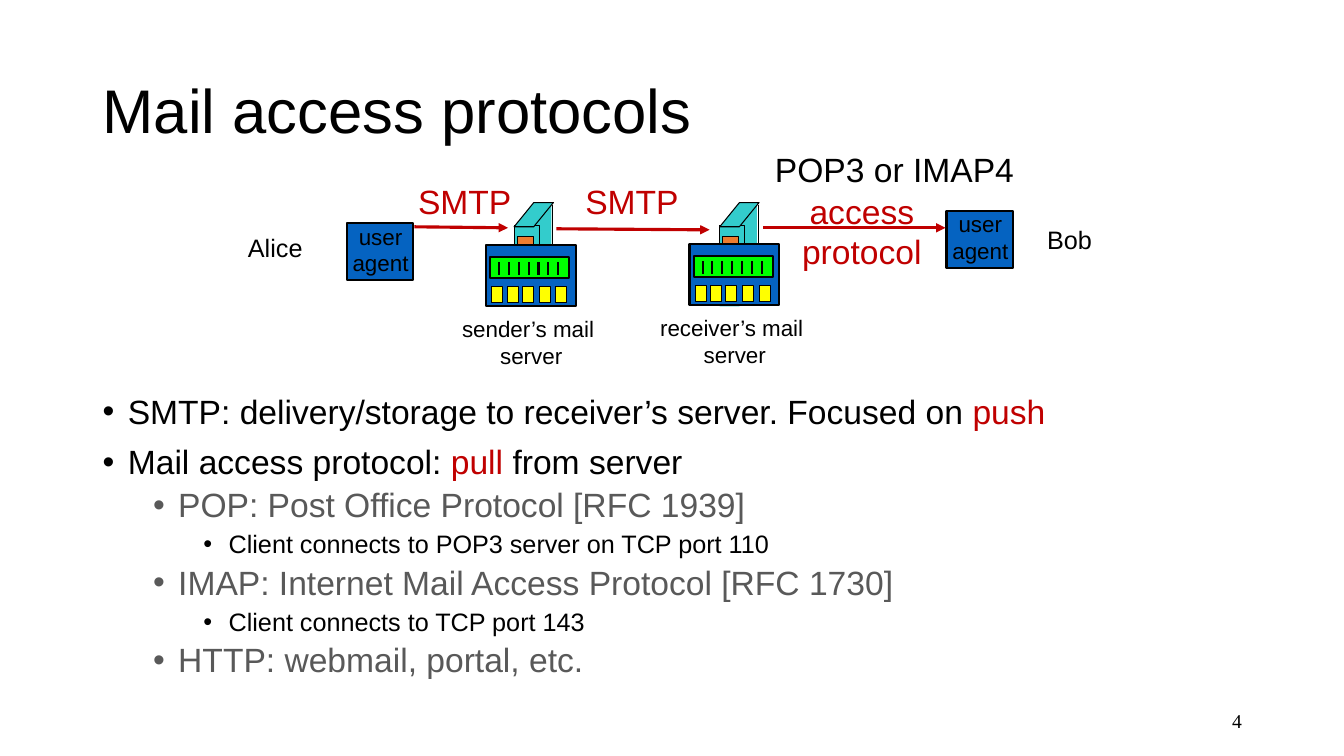
from lxml import etree
from pptx import Presentation
from pptx import util as u
from pptx.dml.color import RGBColor
from pptx.enum import shapes, text
from pptx.oxml.ns import qn

COLORS = {
    "black": "000000", "white": "FFFFFF", "red": "C00000", "gray": "595959",
    "blue": "0563C1", "teal": "33CCCC", "orange": "ED7D31",
    "green": "00FF00", "yellow": "FFFF00",
}
COLUMNS, ROWS = 133.33, 75
CENTER, RIGHT = text.PP_ALIGN.CENTER, text.PP_ALIGN.RIGHT
RECT, SLANT = shapes.MSO_SHAPE.RECTANGLE, shapes.MSO_SHAPE.PARALLELOGRAM


def color(name):
    return RGBColor.from_string(COLORS[name])


def write(para, content, size=24, ink="black", font="Arial", align=None,
          spacing=None, before=None, level=None):
    if align is not None:
        para.alignment = align
    if spacing:
        para.line_spacing = spacing
    if before:
        para.space_before = u.Pt(before)
    if level is not None:
        para.level = level
        props = para._p.get_or_add_pPr()
        props.set("marL", str(u.Inches(0.25 + 0.5 * level)))
        props.set("indent", str(u.Inches(-0.25)))
        etree.SubElement(props, qn("a:buFont")).set("typeface", "Arial")
        etree.SubElement(props, qn("a:buChar")).set("char", "•")
    for words, shade in [(content, ink)] if isinstance(content, str) else content:
        span = para.add_run()
        span.text = words
        span.font.size = u.Pt(size)
        span.font.name = font
        span.font.color.rgb = color(shade)


class Sketch:
    def __init__(self, deck):
        self.column = deck.slide_width / COLUMNS
        self.row = deck.slide_height / ROWS
        self.slide = deck.slides.add_slide(deck.slide_layouts[6])

    def place(self, x, y):
        return round(x * self.column), round(y * self.row)

    def label(self, lines, x, y, width, height, wrap=False, middle=False, **style):
        box = self.slide.shapes.add_textbox(*self.place(x, y), *self.place(width, height))
        frame = box.text_frame
        frame.word_wrap = wrap
        if middle:
            frame.vertical_anchor = text.MSO_ANCHOR.MIDDLE
        for index, line in enumerate(lines):
            para = frame.add_paragraph() if index else frame.paragraphs[0]
            write(para, line, **style)
        return frame

    def bullets(self, items, x, y, width, height):
        frame = self.label([], x, y, width, height, wrap=True)
        for index, (level, content) in enumerate(items):
            para = frame.add_paragraph() if index else frame.paragraphs[0]
            write(para, content, level=level, spacing=0.9,
                  size=18 if level == 2 else 24,
                  ink="gray" if level == 1 else "black",
                  before=(5 if level else 10) if index else None)

    def block(self, x, y, width, height, fill, outline=None, kind=RECT):
        shape = self.slide.shapes.add_shape(kind, *self.place(x, y), *self.place(width, height))
        shape.shadow.inherit = False
        shape.fill.solid()
        shape.fill.fore_color.rgb = color(fill)
        if kind == SLANT:
            shape.adjustments[0] = 0.814
        if outline:
            shape.line.color.rgb = color("black")
            shape.line.width = u.Pt(outline)
        else:
            shape.line.fill.background()

    def line(self, start, end, ink="black", width=0.75, arrow=False):
        link = self.slide.shapes.add_connector(
            shapes.MSO_CONNECTOR.STRAIGHT, *self.place(*start), *self.place(*end))
        link.line.color.rgb = color(ink)
        link.line.width = u.Pt(width)
        if arrow:
            etree.SubElement(link.line._get_or_add_ln(), qn("a:tailEnd")).set("type", "triangle")
        etree.SubElement(link._element.spPr, qn("a:effectLst"))

    def arrow(self, start, end):
        self.line(start, end, ink="red", width=2.25, arrow=True)

    def agent(self, x, y):
        self.block(x, y, 6.6, 5.7, "blue", 1.5)
        self.label(["user", "agent"], x - 0.55, y - 0.5, 7.8, 6.4, size=16, align=CENTER)

    def tower(self, x):
        self.block(x, 28, 3.9, 2.4, "teal", kind=SLANT)
        self.block(x + 1.9, 20.2, 1.8, 7.8, "teal")
        self.block(x, 22.4, 2.5, 7.8, "teal", 0.75)
        self.block(x, 20.1, 3.9, 2.4, "teal", 0.75, SLANT)
        self.line((x + 3.85, 20.3), (x + 3.85, 28))
        self.line((x + 3.85, 28), (x + 2.4, 30.3))
        self.block(x + 0.3, 23.5, 1.6, 4.5, "orange", 0.75)

    def server(self, x, y):
        self.block(x, y, 8.9, 6.1, "blue", 1.5)
        self.block(x + 0.45, y + 1.2, 7.8, 2.1, "green", 1.5)
        for slot in range(7):
            bar = x + 1.3 + 0.98 * slot
            self.line((bar, y + 1.7), (bar, y + 2.95), width=1.5)
        for offset in (0.6, 2.1, 3.6, 5.3, 6.9):
            self.block(x + offset, y + 4.1, 1.1, 1.6, "yellow", 0.75)

    def smtp(self, x):
        self.block(x, 18.2, 9.4, 3.3, "white")
        self.label(["SMTP"], x - 1, 17.5, 11.4, 5, ink="red", align=CENTER)


def main():
    deck = Presentation()
    deck.slide_width, deck.slide_height = u.Inches(13.333), u.Inches(7.5)
    sketch = Sketch(deck)

    sketch.label(["4"], 94.2, 69.5, 30, 4, wrap=True, middle=True,
                 size=14, font="Times New Roman", align=RIGHT)
    sketch.bullets([
        (0, [("SMTP: delivery/storage to receiver’s server. Focused on ", "black"),
             ("push", "red")]),
        (0, [("Mail access protocol: ", "black"), ("pull ", "red"),
             ("from server", "black")]),
        (1, "POP: Post Office Protocol [RFC 1939]"),
        (2, "Client connects to POP3 server on TCP port 110"),
        (1, "IMAP: Internet Mail Access Protocol [RFC 1730]"),
        (2, "Client connects to TCP port 143"),
        (1, "HTTP: webmail, portal, etc."),
    ], 9.2, 38.7, 115, 30.5)

    sketch.arrow((41.1, 22.5), (50.4, 22.6))
    sketch.agent(93.9, 20.9)
    sketch.tower(51)
    sketch.label(["sender’s mail ", "server"], 44.7, 30.8, 16, 6.4, size=16, align=CENTER)
    sketch.server(48.2, 24.3)
    sketch.agent(34.4, 22.1)
    sketch.smtp(41.4)

    sketch.tower(71.4)
    sketch.arrow((55.2, 22.7), (70.4, 22.8))
    sketch.smtp(58)
    sketch.arrow((75.7, 22.6), (93.8, 22.6))
    sketch.label(["access", "protocol"], 78.5, 18.4, 14, 9.1, ink="red", align=CENTER)
    sketch.label(["receiver’s mail ", "server"], 64.1, 30.7, 17.6, 6.4, size=16, align=CENTER)
    sketch.server(68.4, 24.2)

    sketch.label(["POP3 or IMAP4"], 75.9, 14.3, 26.7, 5)
    sketch.label(["Mail access protocols"], 9.2, 4, 115, 14.5, wrap=True, middle=True,
                 size=44, spacing=0.9)
    sketch.label(["Alice"], 9.7, 22.6, 21.3, 4, wrap=True, size=18, align=RIGHT)
    sketch.label(["Bob"], 102.9, 21.8, 21.3, 4, wrap=True, size=18)

    deck.save("out.pptx")


if __name__ == "__main__":
    main()
